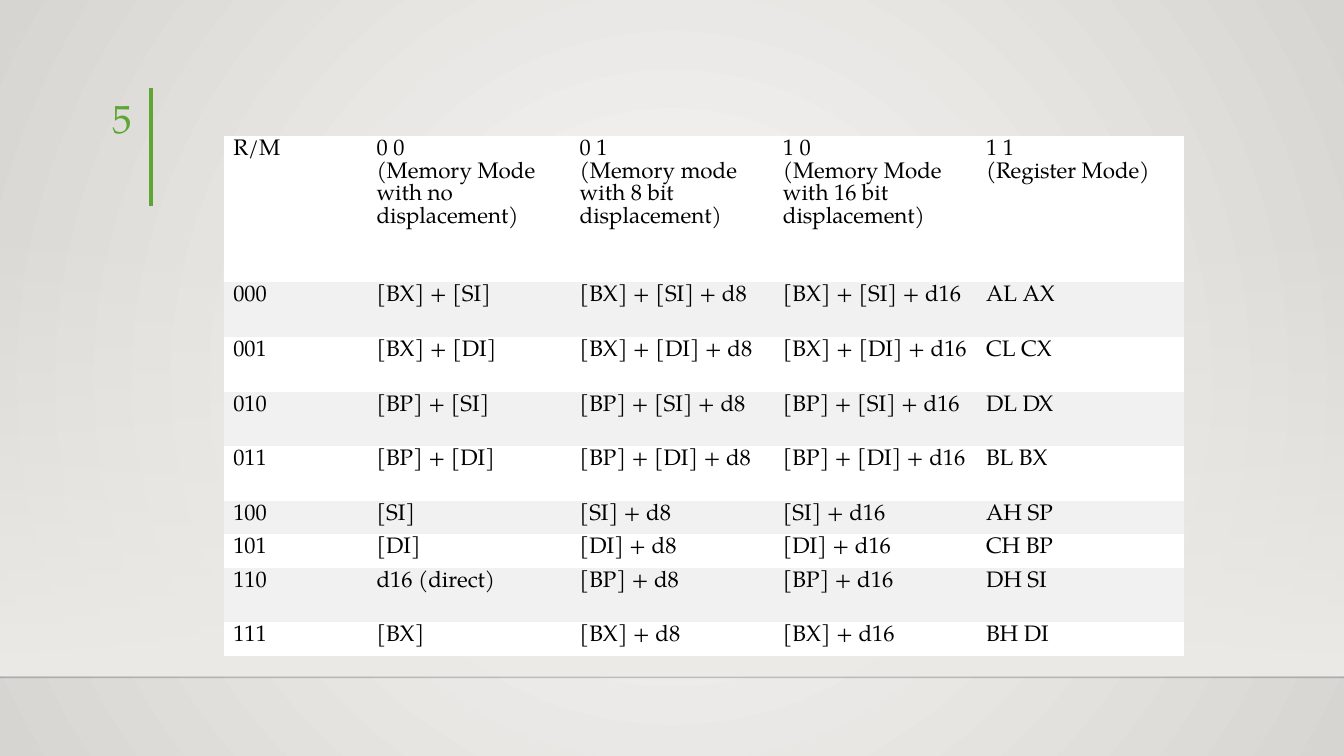
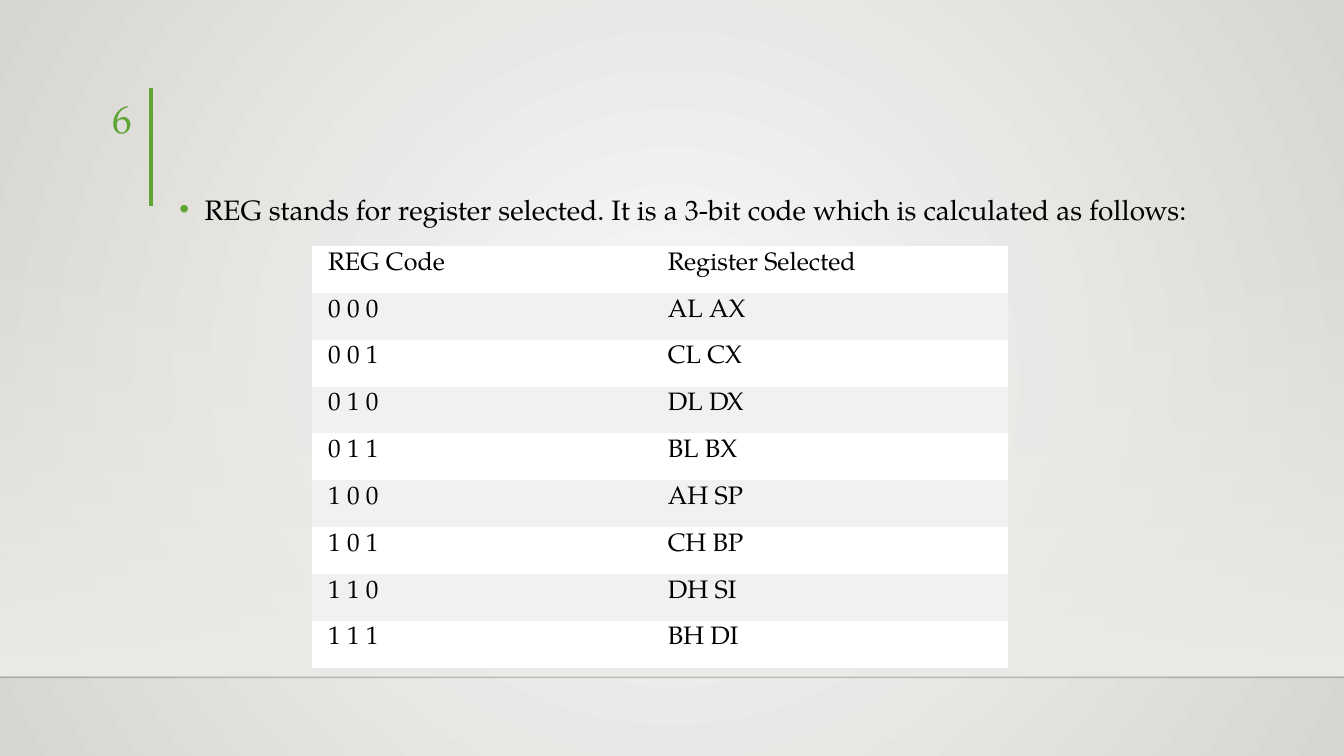
from copy import deepcopy

from lxml import etree
from pptx import Presentation
from pptx import util as u
from pptx.dml.color import RGBColor
from pptx.enum import shapes, text
from pptx.oxml import parse_xml
from pptx.oxml.ns import nsdecls, qn

WIDE, HIGH = 33.87, 19.05
FONT = "TeX Gyre Pagella"
GREEN, BLACK, WHITE, GREY = "5FA534", "000000", "FFFFFF", "F1F1F1"
SAND, RULE = "EDEBE7", "000001"
GLOW, EDGE = "FAFAF9", "D7D5D2"
BARE = "{2D5ABB26-0587-4C30-8999-92F81FD0307C}"

REGS = ["AL AX", "CL CX", "DL DX", "BL BX", "AH SP", "CH BP", "DH SI", "BH DI"]
BASES = ["[BX] + [SI]", "[BX] + [DI]", "[BP] + [SI]", "[BP] + [DI]",
         "[SI]", "[DI]", "[BP]", "[BX]"]
MODES = ["R/M",
         "0 0\v(Memory Mode with no displacement)",
         "0 1\v(Memory mode with 8 bit displacement)",
         "1 0\v(Memory Mode with 16 bit displacement)",
         "1 1\v(Register Mode)"]


def hue(code):
    """Turn a hex string into a colour."""
    return RGBColor.from_string(code)


def grad(stops, way):
    """Build a gradient fill from (place, colour, opacity) stops."""
    marks = "".join(
        f'<a:gs pos="{at * 1000}"><a:srgbClr val="{code}">'
        f'<a:alpha val="{seen * 1000}"/></a:srgbClr></a:gs>'
        for at, code, seen in stops)
    return parse_xml(f'<a:gradFill {nsdecls("a")} rotWithShape="1">'
                     f'<a:gsLst>{marks}</a:gsLst>{way}</a:gradFill>')


def write(frame, words, size=16, color=BLACK, align=None, lead=None,
          before=None, bullet=None):
    """Put one formatted paragraph into a text frame."""
    frame.word_wrap = True
    para = frame.paragraphs[0]
    para.text = words
    para.alignment = align
    if lead:
        para.line_spacing = lead
    if before:
        para.space_before = u.Pt(before)
    for run in para.runs:
        run.font.size = u.Pt(size)
        run.font.name = FONT
        run.font.color.rgb = hue(color)
    for gap in para._p.findall(qn("a:br")):
        gap.append(deepcopy(para.runs[0]._r.rPr))
    if bullet:
        props = para._p.get_or_add_pPr()
        props.set("marL", str(u.Cm(0.64)))
        props.set("indent", str(-u.Cm(0.64)))
        tint = etree.SubElement(props, qn("a:buClr"))
        etree.SubElement(tint, qn("a:srgbClr"), val=GREEN)
        etree.SubElement(props, qn("a:buFont"), typeface="Arial")
        etree.SubElement(props, qn("a:buChar"), char=bullet)


def label(slide, box, words, **form):
    """Add a text box in the given box."""
    shape = slide.shapes.add_textbox(*map(u.Cm, box))
    write(shape.text_frame, words, **form)


def rule(slide, ends, color, width, seen=100):
    """Draw a straight line between two points."""
    line = slide.shapes.add_connector(shapes.MSO_CONNECTOR.STRAIGHT,
                                      *map(u.Cm, ends))
    line.line.color.rgb = hue(color)
    line.line.width = u.Pt(width)
    tint = line._element.spPr.find(".//" + qn("a:srgbClr"))
    etree.SubElement(tint, qn("a:alpha"), val=str(seen * 1000))
    etree.SubElement(line._element.spPr, qn("a:effectLst"))


def paint(deck):
    """Give the slide master its round background glow."""
    fill = deck.slide_master.background.fill
    fill.solid()
    props = deck.slide_master._element.find(".//" + qn("p:bgPr"))
    way = ('<a:path path="circle"><a:fillToRect l="50000" t="50000" '
           'r="50000" b="50000"/></a:path>')
    props.replace(props[0], grad([(0, GLOW, 100), (100, EDGE, 100)], way))


def floor(slide, top, high):
    """Draw the fading wall and the line where it meets the floor."""
    wall = slide.shapes.add_shape(shapes.MSO_SHAPE.RECTANGLE, 0, u.Cm(top),
                                  u.Cm(WIDE), u.Cm(high))
    wall.shadow.inherit = False
    wall.line.fill.background()
    wall.fill.solid()
    props = wall._element.spPr
    props.replace(props.find(qn("a:solidFill")),
                  grad([(0, SAND, 0), (100, SAND, 100)],
                       '<a:lin ang="5400000" scaled="0"/>'))
    base = top + high + 0.05
    rule(slide, (0, base, WIDE, base), RULE, 1, seen=20)


def badge(slide, number, left, top):
    """Place the slide number beside its green bar."""
    bar = left + 2.48
    rule(slide, (bar, top, bar, top + 2.97), GREEN, 3)
    label(slide, (left, top + 0.03, 2.26, 1.4), str(number), size=28,
          color=GREEN, align=text.PP_ALIGN.RIGHT)


def grid(slide, left, top, cols, rows, cells, pad, **form):
    """Place a striped table with the given column widths and row heights."""
    frame = slide.shapes.add_table(len(rows), len(cols), u.Cm(left), u.Cm(top),
                                   u.Cm(sum(cols)), u.Cm(sum(rows)))
    table = frame.table
    table.first_row = table.horz_banding = False
    table._tbl.find(".//" + qn("a:tableStyleId")).text = BARE
    for col, wide in zip(table.columns, cols):
        col.width = u.Cm(wide)
    for row, high in zip(table.rows, rows):
        row.height = u.Cm(high)
    side, edge = pad
    for i, line in enumerate(cells):
        for j, words in enumerate(line):
            cell = table.cell(i, j)
            cell.fill.solid()
            cell.fill.fore_color.rgb = hue(GREY if i % 2 else WHITE)
            (cell.margin_left, cell.margin_top, cell.margin_right,
             cell.margin_bottom) = map(
                u.Cm, (side if j else 2 * side, edge, side, edge))
            write(cell.text_frame, words, **form)


def start(deck, number):
    """Add a slide with the shared scenery and its number."""
    slide = deck.slides.add_slide(deck.slide_layouts[6])
    floor(slide, 5.59, 11.43)
    badge(slide, number, 1.33, 2.21)
    return slide


def modes(deck):
    """Build the slide of addressing modes."""
    slide = start(deck, 5)
    cells = [MODES]
    for i, (base, reg) in enumerate(zip(BASES, REGS)):
        plain = "d16 (direct)" if i == 6 else base
        cells.append([f"{i:03b}", plain, f"{base} + d8", f"{base} + d16", reg])
    tall, short = 1.38, 0.82
    rows = [3.68] + [tall] * 4 + [short, short, tall, short]
    grid(slide, 5.64, 3.43, [3.73] + [5.12] * 4, rows, cells, (0.12, 0.08))


def codes(deck):
    """Build the slide of register codes."""
    slide = start(deck, 6)
    label(slide, (4.27, 4.55, 26.44, 10.62),
          "REG stands for register selected. It is a 3-bit code which is "
          "calculated as follows:",
          size=20, lead=1.2, before=10, bullet="•")
    cells = [["REG Code", "Register Selected"]]
    cells += [[" ".join(f"{i:03b}"), reg] for i, reg in enumerate(REGS)]
    grid(slide, 7.87, 6.2, [8.76] * 2, [1.18] * 9, cells, (0.2, 0.15), size=18)


def main():
    """Build and save the deck."""
    deck = Presentation()
    deck.slide_width, deck.slide_height = u.Cm(WIDE), u.Cm(HIGH)
    paint(deck)
    modes(deck)
    codes(deck)
    deck.save("out.pptx")


if __name__ == "__main__":
    main()
